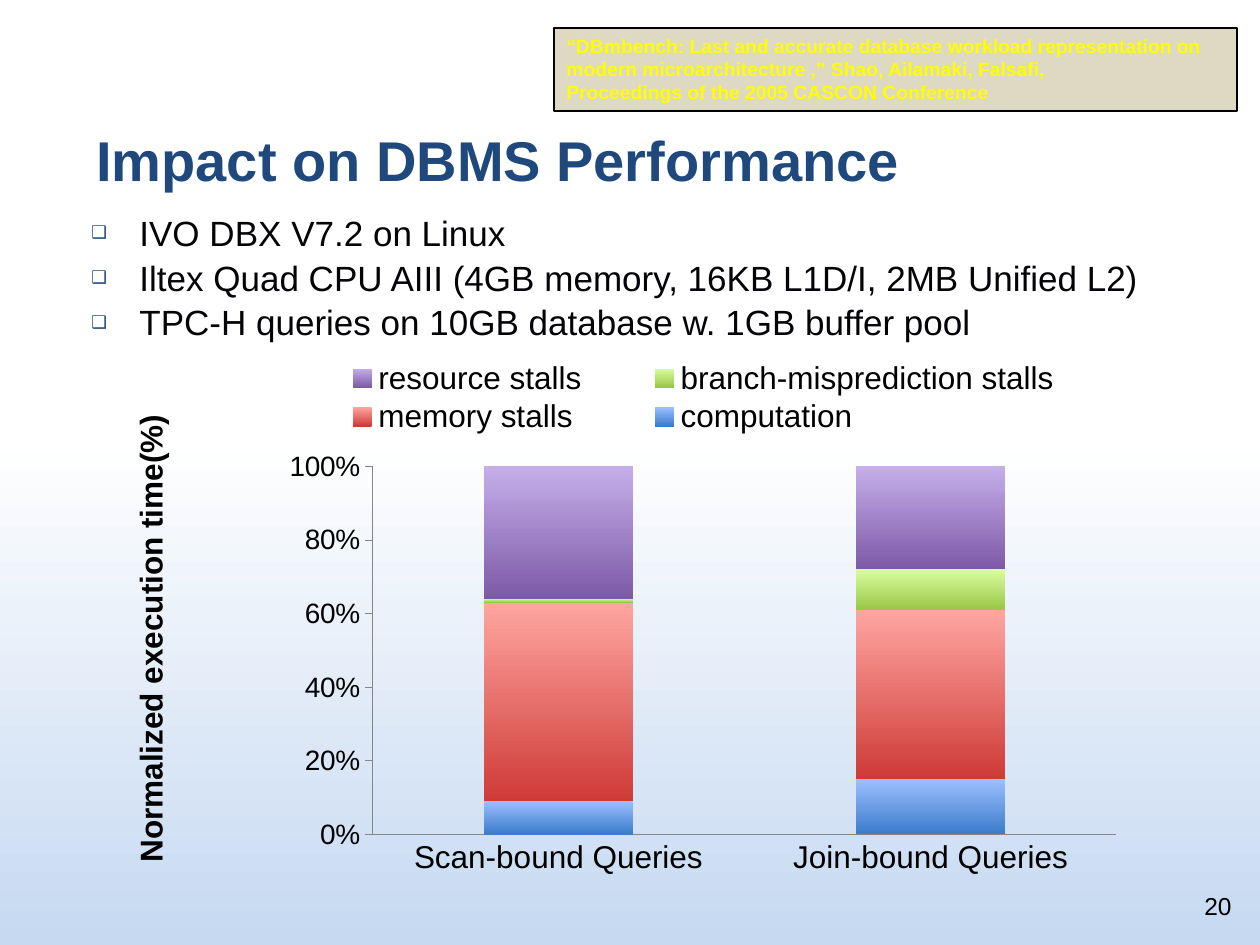
import lxml.etree
import pptx
import pptx.chart.data
import pptx.dml.color
import pptx.enum.chart
import pptx.enum.shapes
import pptx.enum.text
import pptx.oxml.ns
import pptx.util

COLORS = {
    "white": "FFFFFF", "sky": "C6D9F1", "navy": "1F497D", "ink": "040408",
    "black": "000000", "sand": "DDD9C3", "yellow": "FFFF00", "axis": "868686",
}
FONT = "Arial"
qn = pptx.oxml.ns.qn
rgb = pptx.dml.color.RGBColor.from_string
Anchor = pptx.enum.text.MSO_ANCHOR
Align = pptx.enum.text.PP_ALIGN


def px(*lengths):
    return [pptx.util.Emu(round(length * 914400 / 126)) for length in lengths]


def add_text(box, text, size, color, bold=False, align=Align.LEFT,
             anchor=Anchor.TOP, bullet=None, spacing=None, gap=0):
    """Write each line as a paragraph."""
    frame = box.text_frame
    frame.word_wrap = True
    frame.vertical_anchor = anchor
    for number, line in enumerate(text.split("\n")):
        para = frame.add_paragraph() if number else frame.paragraphs[0]
        para.alignment = align
        para.line_spacing = spacing
        para.space_before = pptx.util.Pt(gap if number else 0)
        if bullet:
            props = para._p.get_or_add_pPr()
            indent = px(48)[0]
            props.set("marL", str(indent))
            props.set("indent", str(-indent))
            tint = lxml.etree.SubElement(props, qn("a:buClr"))
            lxml.etree.SubElement(tint, qn("a:srgbClr"), val=COLORS["navy"])
            lxml.etree.SubElement(props, qn("a:buSzPct"), val="50000")
            lxml.etree.SubElement(props, qn("a:buFont"), typeface=FONT)
            lxml.etree.SubElement(props, qn("a:buChar"), char=bullet)
        span = para.add_run()
        span.text = line
        span.font.name = FONT
        span.font.size = pptx.util.Pt(size)
        span.font.bold = bold
        span.font.color.rgb = rgb(COLORS[color])


deck = pptx.Presentation()
deck.slide_width, deck.slide_height = px(1260, 945)
page = deck.slides.add_slide(deck.slide_layouts[6])

# Background: white fading to blue
backdrop = page.background.fill
backdrop.gradient()
backdrop.gradient_angle = 270
for stop, position, color in zip(backdrop.gradient_stops, (0.46, 1), ("white", "sky")):
    stop.position = position
    stop.color.rgb = rgb(COLORS[color])

# Title and bullets
title = page.shapes.add_textbox(*px(84, 42, 1071, 157))
add_text(title, "Impact on DBMS Performance", 32, "navy", bold=True, anchor=Anchor.BOTTOM)

bullets = page.shapes.add_textbox(*px(79, 210, 1120, 141))
add_text(bullets,
         "IVO DBX V7.2 on Linux\n"
         "Iltex Quad CPU AIII (4GB memory, 16KB L1D/I, 2MB Unified L2)\n"
         "TPC-H queries on 10GB database w. 1GB buffer pool",
         20, "ink", bullet="❑", spacing=0.9, gap=4)

# Citation
citation = page.shapes.add_shape(pptx.enum.shapes.MSO_SHAPE.RECTANGLE, *px(554, 28, 683, 83))
citation.shadow.inherit = False
citation.fill.solid()
citation.fill.fore_color.rgb = rgb(COLORS["sand"])
citation.line.color.rgb = rgb(COLORS["black"])
citation.line.width = pptx.util.Pt(0.75)
add_text(citation,
         "“DBmbench: Last and accurate database workload representation on "
         "modern microarchitecture ,” Shao, Ailamaki, Falsafi,\n"
         "Proceedings of the 2005 CASCON Conference",
         11, "yellow", bold=True)

# Chart: name, values, top and bottom colour of each series
SERIES = [
    ("computation", (9, 15), "9CBFFF", "3A7CCB"),
    ("memory stalls", (54, 46), "FFA5A0", "CE3B37"),
    ("branch-misprediction stalls", (1, 11), "D8FDA0", "9AC746"),
    ("resource stalls", (36, 28), "C5AEEA", "7D5AA6"),
]
data = pptx.chart.data.CategoryChartData()
data.categories = ["Scan-bound Queries", "Join-bound Queries"]
for name, values, top, bottom in SERIES:
    data.add_series(name, values)
chart = page.shapes.add_chart(pptx.enum.chart.XL_CHART_TYPE.COLUMN_STACKED_100,
                              *px(83, 340, 1034, 575), data).chart
chart.has_title = False
chart.font.name = FONT
chart.font.size = pptx.util.Pt(18)
chart.font.color.rgb = rgb(COLORS["black"])

plot = chart.plots[0]
plot.gap_width = 150
plot.overlap = 100
plot.vary_by_categories = False
for series, (name, values, *shades) in zip(plot.series, SERIES):
    fill = series.format.fill
    fill.gradient()
    fill.gradient_angle = 270
    for stop, position, shade in zip(fill.gradient_stops, (0, 1), shades):
        stop.position = position
        stop.color.rgb = rgb(shade)

# Axes
Tick = pptx.enum.chart.XL_TICK_MARK
for axis, mark, size in ((chart.category_axis, Tick.NONE, 18),
                         (chart.value_axis, Tick.OUTSIDE, 16)):
    axis.has_major_gridlines = False
    axis.major_tick_mark = mark
    axis.minor_tick_mark = Tick.NONE
    axis.tick_labels.font.size = pptx.util.Pt(size)
    axis.format.line.color.rgb = rgb(COLORS["axis"])
    axis.format.line.width = pptx.util.Pt(0.5)
chart.value_axis.major_unit = 0.2
chart.value_axis.tick_labels.number_format = "0%"
chart.value_axis.tick_labels.number_format_is_linked = False

axis_title = chart.value_axis.axis_title
label = axis_title.text_frame
label.text = "Normalized execution time(%)"
font = label.paragraphs[0].runs[0].font
font.name = FONT
font.size = pptx.util.Pt(18)
font.bold = True
font.color.rgb = rgb(COLORS["black"])
turn = axis_title._element.find(".//" + qn("a:bodyPr"))
turn.set("rot", "-5400000")
turn.set("vert", "horz")

# Legend
chart.has_legend = True
chart.legend.position = pptx.enum.chart.XL_LEGEND_POSITION.RIGHT
chart.legend.include_in_layout = False
chart.legend.font.size = pptx.util.Pt(18)

# Fixed places inside the chart, as fractions of its size
plot_area = chart._chartSpace.find(".//" + qn("c:plotArea"))
for part, index, places in (
        (plot_area, 0, {"x": 0.28, "y": 0.22, "w": 0.72, "h": 0.64}),
        (chart.legend._element, 1, {"x": 0.2, "y": 0.03, "w": 0.8, "h": 0.14}),
        (axis_title._element, 1, {"x": 0.04, "y": 0.12})):
    for old in part.findall(qn("c:layout")):
        part.remove(old)
    layout = lxml.etree.Element(qn("c:layout"))
    manual = lxml.etree.SubElement(layout, qn("c:manualLayout"))
    if part is plot_area:
        lxml.etree.SubElement(manual, qn("c:layoutTarget"), val="inner")
    for side in "xy":
        lxml.etree.SubElement(manual, qn(f"c:{side}Mode"), val="edge")
    for side, fraction in places.items():
        lxml.etree.SubElement(manual, qn(f"c:{side}"), val=str(fraction))
    part.insert(index, layout)

# Page number
number_box = page.shapes.add_textbox(*px(982, 864, 262, 63))
add_text(number_box, "20", 14, "black", align=Align.RIGHT, anchor=Anchor.BOTTOM)

deck.save("out.pptx")
